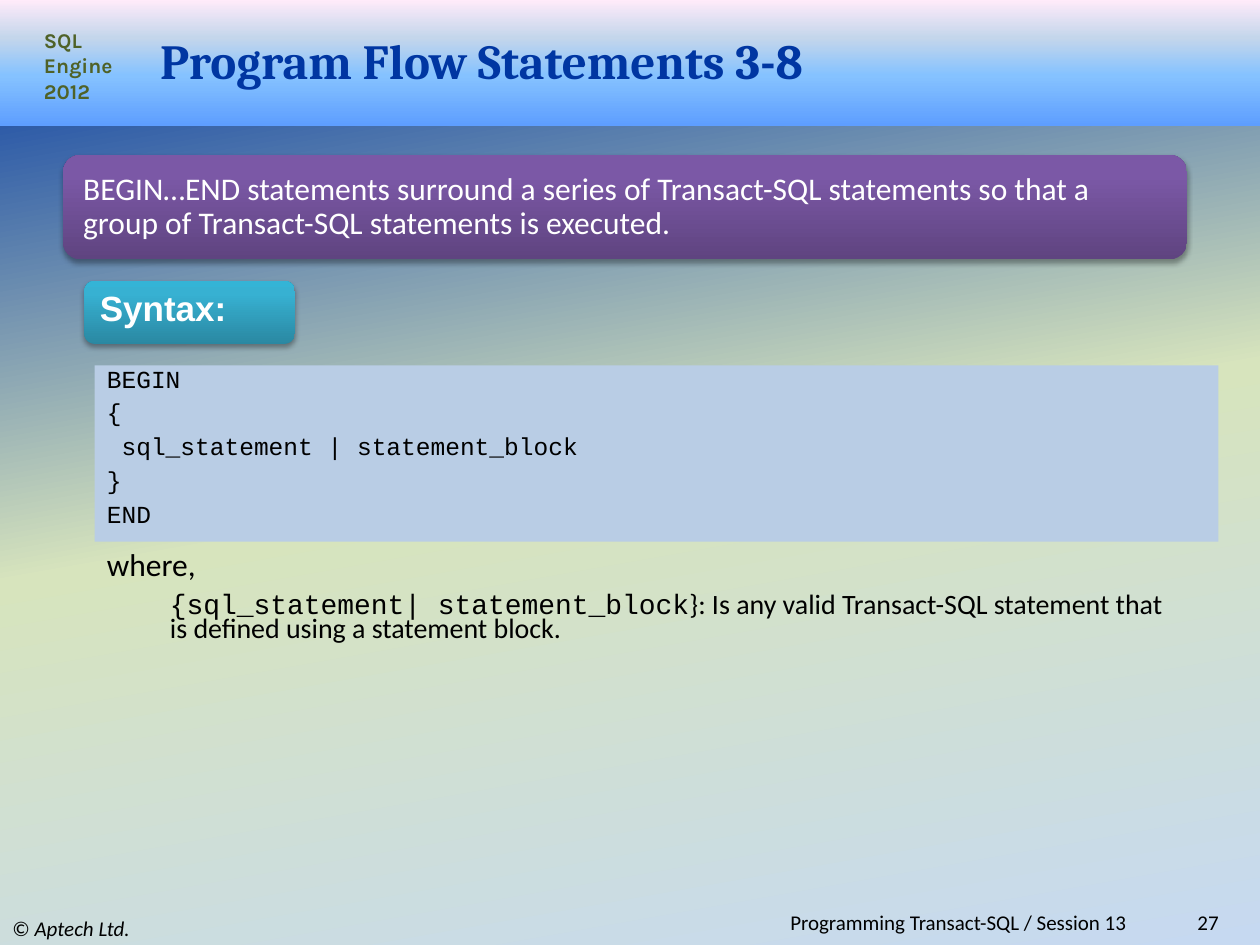
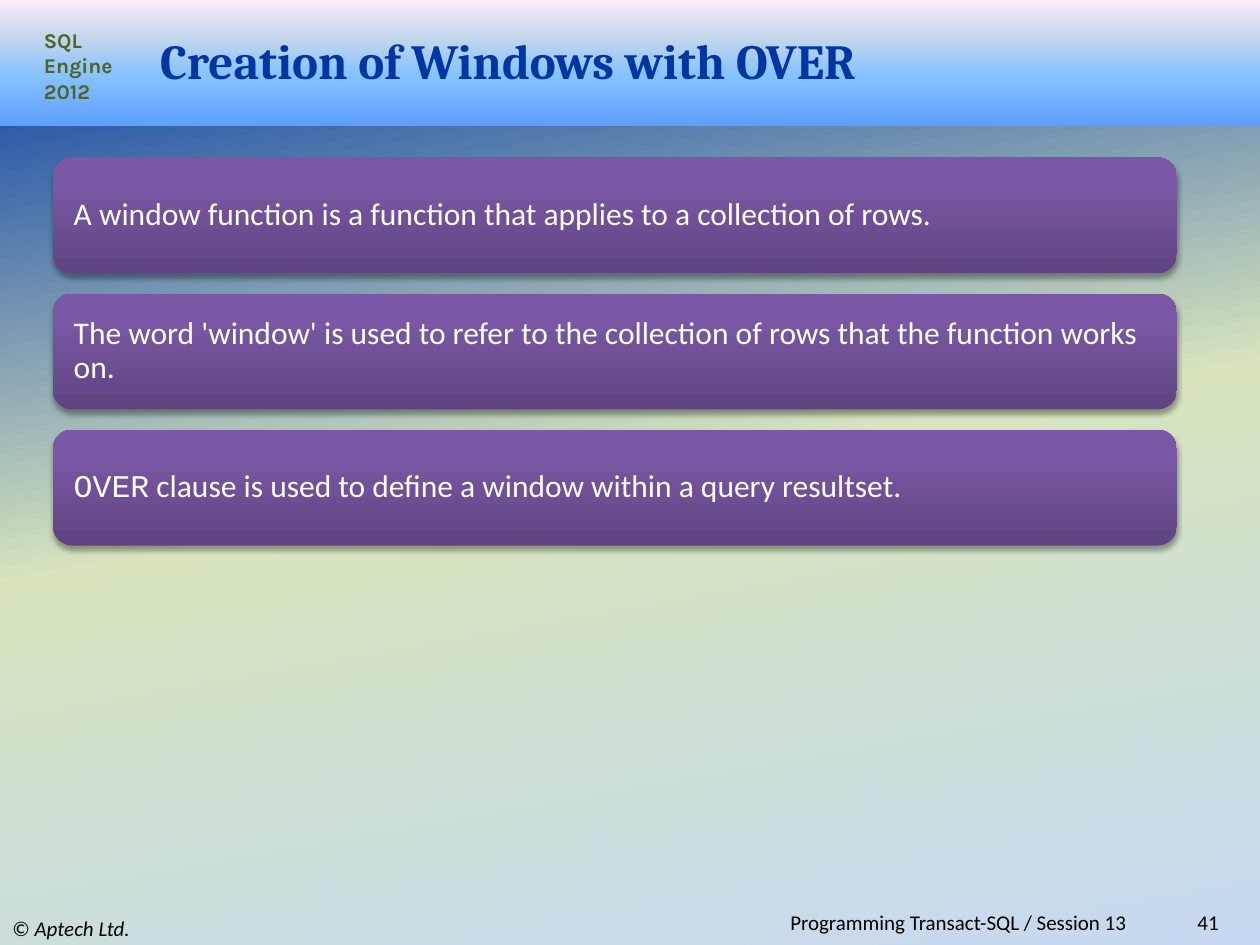
from lxml import etree
from pptx import Presentation
from pptx.dml.color import RGBColor
from pptx.enum.shapes import MSO_SHAPE as Shape
from pptx.enum.text import MSO_ANCHOR as Anchor, PP_ALIGN as Align
from pptx.oxml.ns import qn
from pptx.util import Inches, Pt

# Shared style
BLACK, WHITE, NAVY, OLIVE, CODE_BLUE = "000000", "FFFFFF", "0036A2", "4F6228", "B9CDE5"
BACKGROUND = [(0, NAVY), (50, "D7E4BD"), (100, "C6D9F1")]
BAND = [(0, "5E9EFF"), (40, "85C2FF"), (70, "C4D6EB"), (100, "FFEBFA")]
PURPLE = [(0, "5F4480"), (80, "7B58A6"), (100, "7C57A8")]
TEAL = [(0, "2A88A2"), (80, "37B1D2"), (100, "34B4D6")]
BODY, HEADING, LABEL, LOGO, MONO = "Calibri", "Cambria", "Arial", "Karla", "Courier New"
TITLE_ONLY = 5
SESSION = "Programming Transact-SQL / Session 13"


def color(hex_value):
    return RGBColor.from_string(hex_value)


def set_gradient(fill, element, stops, angle):
    """Fill with colour stops; the angle runs clockwise."""
    fill.gradient()
    fill.gradient_angle = 360 - angle
    stop_list = next(element.iter(qn("a:gsLst")))
    for old_stop in list(stop_list):
        stop_list.remove(old_stop)
    for position, hex_value in stops:
        stop = etree.SubElement(stop_list, qn("a:gs"), pos=str(position * 1000))
        etree.SubElement(stop, qn("a:srgbClr"), val=hex_value)


def add_soft_shadow(shape):
    effects = shape._element.spPr.find(qn("a:effectLst"))
    shadow = etree.SubElement(effects, qn("a:outerShdw"), blurRad="40000",
                              dist="23000", dir="5400000", rotWithShape="0")
    tint = etree.SubElement(shadow, qn("a:srgbClr"), val=BLACK)
    etree.SubElement(tint, qn("a:alpha"), val="35000")


class Deck:
    def __init__(self):
        self.presentation = Presentation()
        self.presentation.slide_width = Inches(10)
        self.presentation.slide_height = Inches(7.5)
        master = self.presentation.slide_master
        set_gradient(master.background.fill, master.element, BACKGROUND, 80)
        self.slide = None

    def new_slide(self, title, number):
        layout = self.presentation.slide_layouts[TITLE_ONLY]
        self.slide = self.presentation.slides.add_slide(layout)
        self.shape(Shape.RECTANGLE, 0, 0, 10, 1, BAND)
        self.title(title)
        # Course label and footer
        self.text(0.25, 0.17, 0.75, 0.71, ["SQL Engine 2012"], 12, OLIVE, LOGO, bold=True)
        copyright_line = self.text(0, 7.23, 3.33, 0.27, [[("© ", BODY), ("Aptech Ltd.", BODY)]],
                                   12, anchor=Anchor.MIDDLE)
        copyright_line.text_frame.paragraphs[0].runs[1].font.italic = True
        for left, width, words in ((8.92, 0.85, str(number)), (2.5, 6.54, SESSION)):
            self.text(left, 7.23, width, 0.18, [words], 12,
                      anchor=Anchor.MIDDLE, align=Align.RIGHT)

    def title(self, words):
        title = self.slide.shapes.title
        title.left, title.top = Inches(1.17), Inches(0.25)
        title.width, title.height = Inches(8.33), Inches(0.45)
        self.set_text(title, [words], 28, NAVY, HEADING, bold=True, anchor=Anchor.MIDDLE)
        self.slide.shapes._spTree.append(title._element)  # in front of the band

    def shape(self, kind, left, top, width, height, fill, shadow=False):
        shape = self.slide.shapes.add_shape(
            kind, Inches(left), Inches(top), Inches(width), Inches(height))
        shape.shadow.inherit = False
        shape.line.fill.background()
        if isinstance(fill, str):
            shape.fill.solid()
            shape.fill.fore_color.rgb = color(fill)
        else:
            set_gradient(shape.fill, shape._element, fill, 270)
        if shadow:
            add_soft_shadow(shape)
        return shape

    def text(self, left, top, width, height, paragraphs, size, *args, **style):
        box = self.slide.shapes.add_textbox(
            Inches(left), Inches(top), Inches(width), Inches(height))
        return self.set_text(box, paragraphs, size, *args, **style)

    def set_text(self, shape, paragraphs, size, hex_value=BLACK, font=BODY, bold=False,
                 anchor=Anchor.TOP, align=Align.LEFT, spacing=None, before=0):
        """Each paragraph is a string or a list of (text, font) runs."""
        frame = shape.text_frame
        frame.word_wrap = True
        frame.vertical_anchor = anchor
        for index, content in enumerate(paragraphs):
            paragraph = frame.add_paragraph() if index else frame.paragraphs[0]
            runs = [(content, None)] if isinstance(content, str) else content
            for words, run_font in runs:
                run = paragraph.add_run()
                run.text = words
                if run_font and run_font != font:
                    run.font.name = run_font
            paragraph.alignment = align
            if spacing:
                paragraph.line_spacing = spacing
            if index:
                paragraph.space_before = Pt(before)
            paragraph.font.size = Pt(size)
            paragraph.font.name = font
            paragraph.font.bold = bold
            paragraph.font.color.rgb = color(hex_value)
        return shape

    def card(self, left, top, height, content):
        card = self.shape(Shape.ROUNDED_RECTANGLE, left, top, 8.92, height, PURPLE, True)
        card.text_frame.margin_left = card.text_frame.margin_right = Inches(0.12)
        self.set_text(card, [content], 18, WHITE, anchor=Anchor.MIDDLE, spacing=0.9)

    def label(self, left, top, words):
        label = self.shape(Shape.ROUNDED_RECTANGLE, left, top, 1.67, 0.5, TEAL, True)
        self.set_text(label, [words], 20, WHITE, LABEL, bold=True,
                      anchor=Anchor.MIDDLE, spacing=0.7)

    def code(self, left, top, height, lines):
        panel = self.shape(Shape.RECTANGLE, left, top, 8.92, height, CODE_BLUE)
        self.set_text(panel, lines, 14, font=MONO, spacing=0.7, before=7.6)

    def explanation(self, left, top, intro, detail):
        box = self.text(left, top, 8.58, 0.82, [intro, detail], 18, spacing=0.7, before=8)
        paragraph = box.text_frame.paragraphs[1]
        paragraph.level = 1
        paragraph._p.get_or_add_pPr().set("marL", str(Inches(0.5)))
        paragraph.font.size = Pt(16)


def main():
    deck = Deck()

    # BEGIN…END syntax
    deck.new_slide("Program Flow Statements 3-8", 27)
    deck.card(0.5, 1.23, 0.83, "BEGIN…END statements surround a series of Transact-SQL "
              "statements so that a group of Transact-SQL statements is executed.")
    deck.code(0.75, 2.9, 1.4,
              ["BEGIN", "{", " sql_statement | statement_block", "}", "END"])
    deck.label(0.67, 2.23, "Syntax:")
    deck.explanation(0.75, 4.36, "where,", [
        ("{sql_statement| statement_block", MONO),
        ("}: Is any valid Transact-SQL statement that is defined using a statement block.",
         BODY)])

    # Window functions
    deck.new_slide("Creation of Windows with OVER", 41)
    points = [
        "A window function is a function that applies to a collection of rows.",
        "The word 'window' is used to refer to the collection of rows that the function "
        "works on.",
        [("OVER", MONO), (" clause is used to define a window within a query resultset.", BODY)],
    ]
    for index, point in enumerate(points):
        deck.card(0.42, 1.25 + index * 1.08, 0.92, point)

    deck.presentation.save("out.pptx")


if __name__ == "__main__":
    main()
